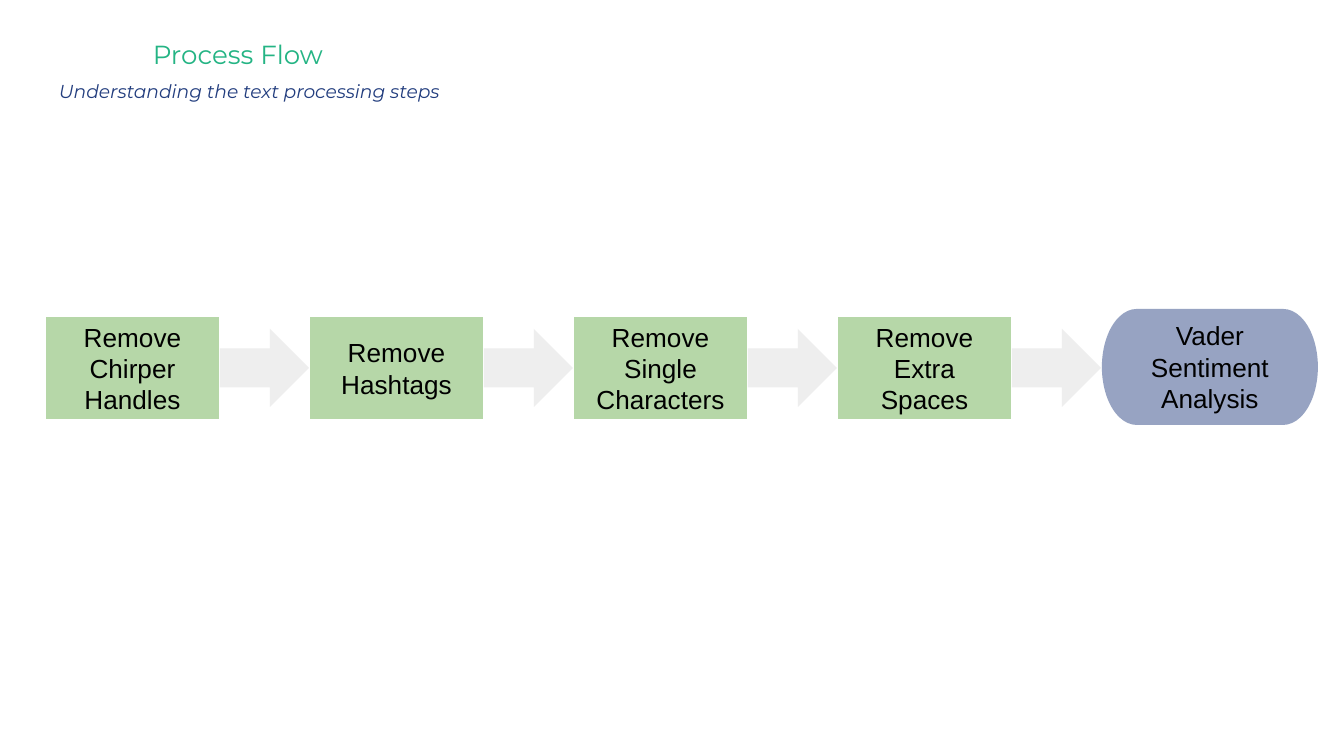
from lxml.etree import SubElement
from pptx import Presentation
from pptx.dml.color import RGBColor
from pptx.enum.shapes import MSO_SHAPE
from pptx.enum.text import MSO_ANCHOR, PP_ALIGN
from pptx.oxml.ns import qn
from pptx.util import Pt

PX = 914400 / 134.4  # EMU in one px
COLORS = {"green": "24B484", "navy": "223D7E", "step": "B6D7A8",
          "arrow": "EEEEEE", "black": "000000"}


def add_block(kind, box, color):
    """Add a flat, borderless preset shape; box is left, top, width, height in px."""
    block = slide.shapes.add_shape(kind, *(round(n * PX) for n in box))
    block.shadow.inherit = False
    block.fill.solid()
    block.fill.fore_color.rgb = RGBColor.from_string(COLORS[color])
    block.line.fill.background()
    return block


def write(shape, text, font="Arial", size=14, color="black", italic=False,
          align=PP_ALIGN.CENTER, anchor=MSO_ANCHOR.MIDDLE, inset=(13, 13)):
    frame = shape.text_frame
    frame.word_wrap = True
    frame.vertical_anchor = anchor
    frame.margin_left = frame.margin_right = round(inset[0] * PX)
    frame.margin_top = frame.margin_bottom = round(inset[1] * PX)
    paragraph = frame.paragraphs[0]
    paragraph.alignment = align
    run = paragraph.add_run()
    run.text = text
    run.font.name, run.font.size, run.font.italic = font, Pt(size), italic
    run.font.color.rgb = RGBColor.from_string(COLORS[color])
    return run


prs = Presentation()
prs.slide_width, prs.slide_height = round(1344 * PX), round(756 * PX)
slide = prs.slides.add_slide(prs.slide_layouts[6])

# Heading, with a green to navy gradient
heading = slide.shapes.add_textbox(*(round(n * PX) for n in (60, 31, 356, 34)))
heading_run = write(heading, "Process Flow", font="Montserrat", color="green",
                    anchor=MSO_ANCHOR.TOP, inset=(13, 7))
gradient = heading_run.font.fill
gradient.gradient()
gradient.gradient_angle = 0
for stop, name, position in zip(gradient.gradient_stops, ("green", "navy"), (0, 1)):
    stop.color.rgb = RGBColor.from_string(COLORS[name])
    stop.position = position

# Subheading
subheading = slide.shapes.add_textbox(*(round(n * PX) for n in (46, 69, 458, 44)))
write(subheading, "Understanding the text processing steps", font="Montserrat",
      size=10, color="navy", italic=True, align=PP_ALIGN.LEFT)

# Cleaning steps, each followed by an arrow
STEP_PITCH = 264
steps = ["Remove Chirper Handles", "Remove Hashtags",
         "Remove Single Characters", "Remove Extra Spaces"]
for i, label in enumerate(steps):
    left = 46 + i * STEP_PITCH
    step = add_block(MSO_SHAPE.FLOWCHART_PROCESS, (left, 317, 173, 102), "step")
    write(step, label)
    add_block(MSO_SHAPE.RIGHT_ARROW, (left + 174, 329, 89, 78), "arrow")

# Final analysis, half transparent
analysis = add_block(MSO_SHAPE.FLOWCHART_TERMINATOR, (1102, 309, 216, 116), "navy")
analysis_color = analysis.fill._xPr.find(qn("a:solidFill"))[0]
SubElement(analysis_color, qn("a:alpha"), val="47000")
write(analysis, "Vader Sentiment Analysis")

prs.save("out.pptx")
